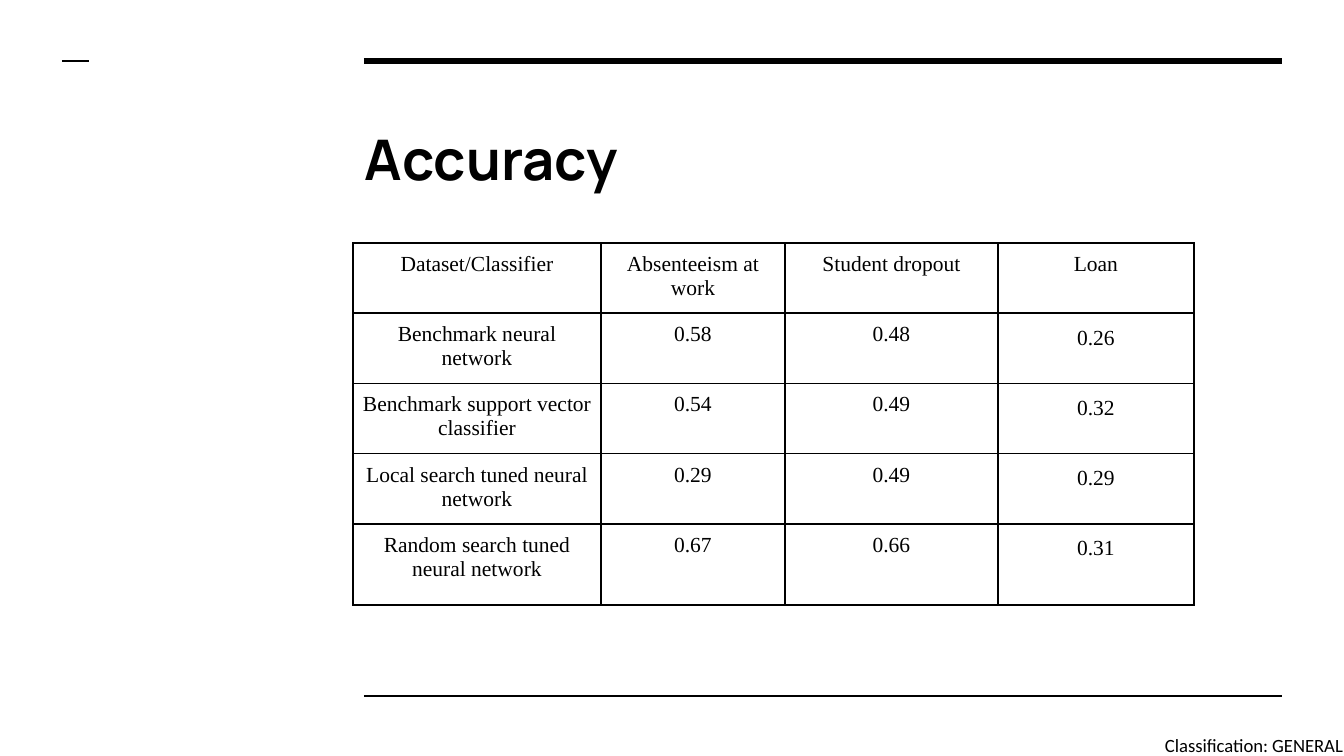
from lxml import etree
from pptx import Presentation
from pptx.dml.color import RGBColor
from pptx.enum.shapes import MSO_CONNECTOR
from pptx.enum.text import MSO_ANCHOR, PP_ALIGN
from pptx.oxml.ns import qn
from pptx.util import Pt

STRAIGHT = MSO_CONNECTOR.STRAIGHT
LEFT, CENTER = PP_ALIGN.LEFT, PP_ALIGN.CENTER
TOP, MIDDLE = MSO_ANCHOR.TOP, MSO_ANCHOR.MIDDLE
BLACK = RGBColor(0, 0, 0)
WHITE = RGBColor(255, 255, 255)
EMU_PER_PX = 914400 / 134.4

TITLE = "Accuracy"
FOOTER = "Classification: GENERAL"
HEADER = ("Dataset/Classifier", "Absenteeism at work", "Student dropout", "Loan")
SCORES = [
    ("Benchmark neural network", "0.58", "0.48", "0.26"),
    ("Benchmark support vector classifier", "0.54", "0.49", "0.32"),
    ("Local search tuned neural network", "0.29", "0.49", "0.29"),
    ("Random search tuned neural network", "0.67", "0.66", "0.31"),
]
COLUMN_WIDTHS = (248, 184, 213, 196)
ROW_HEIGHTS = (65, 65, 65, 65, 81)
RULES = [(364, 1282, 61, 3), (364, 1282, 696, 1.5), (62, 89, 61, 1.5)]


def px(length):
    return round(length * EMU_PER_PX)


def style(para, font_name, size, align=LEFT, bold=False):
    para.alignment = align
    para.font.name = font_name
    para.font.size = Pt(size)
    para.font.bold = bold
    para.font.color.rgb = BLACK


def set_margins(target, margin):
    target.margin_left = target.margin_right = margin
    target.margin_top = target.margin_bottom = margin


def add_borders(cell):
    properties = cell._tc.get_or_add_tcPr()
    for position, side in enumerate(("a:lnL", "a:lnR", "a:lnT", "a:lnB")):
        line = etree.Element(qn(side), w=str(Pt(1)))
        fill = etree.SubElement(line, qn("a:solidFill"))
        etree.SubElement(fill, qn("a:srgbClr"), val=str(BLACK))
        properties.insert(position, line)


def add_rule(page, left, right, y, weight):
    rule = page.shapes.add_connector(STRAIGHT, px(left), px(y), px(right), px(y))
    rule.line.color.rgb = BLACK
    rule.line.width = Pt(weight)
    etree.SubElement(rule._element.spPr, qn("a:effectLst"))


def add_title(page):
    title = page.shapes.title
    title.left, title.top, title.width, title.height = map(px, (352, 112, 929, 93))
    frame = title.text_frame
    frame.text = TITLE
    frame.vertical_anchor = MIDDLE
    set_margins(frame, px(13))
    style(frame.paragraphs[0], "Manrope", 30, bold=True)


def add_footer(page):
    box = page.shapes.add_textbox(*map(px, (1165, 734, 183, 23)))
    frame = box.text_frame
    frame.word_wrap = True
    frame.text = FOOTER
    set_margins(frame, 0)
    style(frame.paragraphs[0], "Calibri", 10)


def add_score_table(page):
    rows = [HEADER, *SCORES]
    table = page.shapes.add_table(
        len(rows), len(HEADER), px(353), px(243),
        px(sum(COLUMN_WIDTHS)), px(sum(ROW_HEIGHTS))).table
    table.first_row = table.horz_banding = False
    for column, width in zip(table.columns, COLUMN_WIDTHS):
        column.width = px(width)
    for row, height in zip(table.rows, ROW_HEIGHTS):
        row.height = px(height)
    for r, texts in enumerate(rows):
        for c, text in enumerate(texts):
            cell = table.cell(r, c)
            cell.text = text
            cell.vertical_anchor = TOP
            set_margins(cell, Pt(5))
            cell.fill.solid()
            cell.fill.fore_color.rgb = WHITE
            para = cell.text_frame.paragraphs[0]
            style(para, "Times New Roman", 11.5, CENTER)
            if r > 0 and c == len(HEADER) - 1:
                para.line_spacing = 1.15
            add_borders(cell)


deck = Presentation()
deck.slide_width, deck.slide_height = px(1344), px(756)
page = deck.slides.add_slide(deck.slide_layouts[5])
page.background.fill.solid()
page.background.fill.fore_color.rgb = WHITE
add_footer(page)
for rule in RULES:
    add_rule(page, *rule)
add_title(page)
add_score_table(page)
deck.save("out.pptx")
